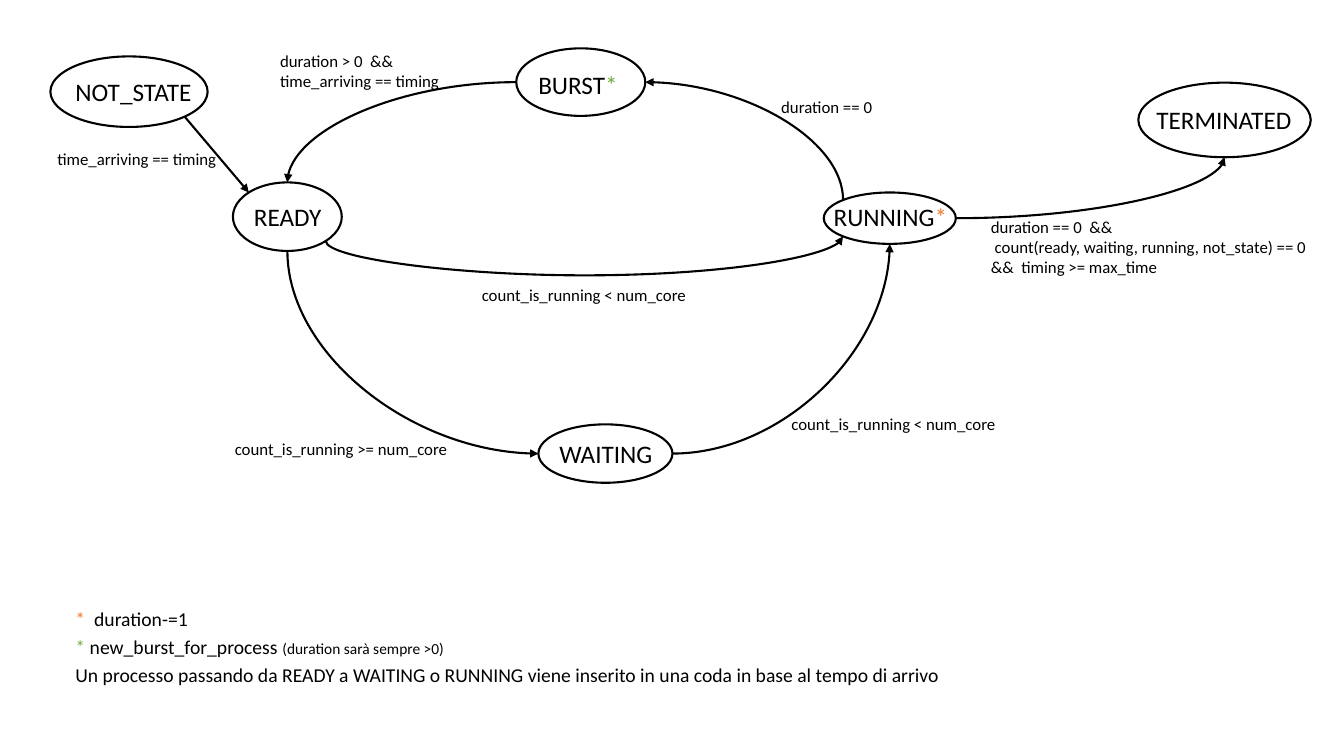
from dataclasses import dataclass
from math import cos, radians, sin

from lxml.etree import SubElement
from pptx import Presentation
from pptx.dml.color import RGBColor
from pptx.enum.shapes import MSO_CONNECTOR, MSO_SHAPE
from pptx.enum.text import MSO_AUTO_SIZE
from pptx.oxml.ns import qn
from pptx.util import Inches, Pt

OVAL = MSO_SHAPE.OVAL
STRAIGHT, CURVE = MSO_CONNECTOR.STRAIGHT, MSO_CONNECTOR.CURVE
GROW = MSO_AUTO_SIZE.SHAPE_TO_FIT_TEXT
TOP, TOP_LEFT, LEFT, LOW_LEFT, LOW, LOW_RIGHT, RIGHT = range(7)
COLS, ROWS = 133.3, 75


@dataclass(frozen=True)
class Theme:
    font: str = "Calibri"
    ink: str = "000000"
    paper: str = "FFFFFF"
    orange: str = "ED7D31"
    green: str = "70AD47"
    state: int = 18
    rule: int = 12
    note: int = 14
    small: int = 11
    line: float = 1.5


class Diagram:
    def __init__(self, deck, theme):
        self.theme = theme
        self.slide = deck.slides.add_slide(deck.slide_layouts[6])
        self.shapes = self.slide.shapes
        self.col = deck.slide_width / COLS
        self.row = deck.slide_height / ROWS

    def place(self, x, y):
        return round(x * self.col), round(y * self.row)

    def stroke(self, item):
        item.line.color.rgb = RGBColor.from_string(self.theme.ink)
        item.line.width = Pt(self.theme.line)

    def oval(self, x, y, w, h):
        item = self.shapes.add_shape(OVAL, *self.place(x, y), *self.place(w, h))
        item.shadow.inherit = False
        item.fill.solid()
        item.fill.fore_color.rgb = RGBColor.from_string(self.theme.paper)
        self.stroke(item)
        return item

    def text(self, x, y, w, size, *lines):
        high = Pt(len(lines) * size * 1.2) + Inches(0.1)
        wide = self.place(w, 0)[0]
        frame = self.shapes.add_textbox(*self.place(x, y), wide, high).text_frame
        frame.word_wrap = True
        frame.auto_size = GROW
        for i, runs in enumerate(lines):
            para = frame.add_paragraph() if i else frame.paragraphs[0]
            for words, color, scale in runs:
                run = para.add_run()
                run.text = words
                run.font.name = self.theme.font
                run.font.size = Pt(scale or size)
                run.font.color.rgb = RGBColor.from_string(color or self.theme.ink)

    def site(self, oval, spot):
        turn = radians(90 + 45 * spot)
        x = oval.left + oval.width / 2 * (1 + cos(turn))
        y = oval.top + oval.height / 2 * (1 - sin(turn))
        return x, y

    def arrow(self, start, spot, end, goal, kind=CURVE, upright=False, sag=0):
        (x1, y1), (x2, y2) = self.site(start, spot), self.site(end, goal)
        rise = abs(y2 - y1)
        if upright:
            mid_x, mid_y = (x1 + x2) / 2, (y1 + y2) / 2
            half_w, half_h = (y1 - y2) / 2, (x2 - x1) / 2
            x1, x2 = mid_x - half_w, mid_x + half_w
            y1, y2 = mid_y - half_h, mid_y + half_h
        ends = [round(v) for v in (x1, y1, x2, y2)]
        item = self.shapes.add_connector(kind, *ends)
        self.stroke(item)
        props = item._element.spPr
        form = props.find(qn("a:prstGeom"))
        if upright:
            props.find(qn("a:xfrm")).set("rot", "16200000")
        if sag:
            guides = form.find(qn("a:avLst"))
            bend = round(-100000 * sag * self.row / rise)
            SubElement(guides, qn("a:gd"), name="adj1", fmla=f"val {bend}")
        elif kind == CURVE:
            form.set("prst", "curvedConnector2")
        SubElement(props.find(qn("a:ln")), qn("a:tailEnd"), type="triangle")
        SubElement(props, qn("a:effectLst"))
        glue = item._element.find(".//" + qn("p:cNvCxnSpPr"))
        for tag, oval, idx in (("a:stCxn", start, spot), ("a:endCxn", end, goal)):
            SubElement(glue, qn(tag), id=str(oval.shape_id), idx=str(idx))


def run(words, color=None, size=None):
    return words, color, size


deck = Presentation()
deck.slide_width, deck.slide_height = Inches(13.33), Inches(7.5)
theme = Theme()
chart = Diagram(deck, theme)

states = {
    "NOT_STATE": ((5, 5.6, 15.6, 7), (6.5, 7.1, 14.1), None),
    "READY": ((23.1, 18.1, 10.8, 6.8), (24.2, 19.5, 9.7), None),
    "WAITING": ((53.4, 42.1, 13.3, 5.8), (54.5, 43, 12.2), None),
    "RUNNING": ((81.7, 19.1, 13.1, 5.1), (81.7, 19.5, 15.6), theme.orange),
    "BURST": ((51.2, 4.8, 12.8, 6.7), (52.4, 6.4, 11.5), theme.green),
    "TERMINATED": ((112.9, 8.2, 17.1, 7.4), (113.7, 9.9, 16.1), None),
}
ovals = {}
for name, (box, label, star) in states.items():
    ovals[name] = chart.oval(*box)
    runs = [run(name)] + ([run("*", star)] if star else [])
    chart.text(*label, theme.state, runs)
new, ready, wait, busy, burst, done = ovals.values()

chart.arrow(new, LOW_RIGHT, ready, TOP_LEFT, kind=STRAIGHT)
chart.arrow(ready, LOW, wait, LEFT, upright=True)
chart.arrow(wait, RIGHT, busy, LOW)
chart.arrow(ready, LOW_RIGHT, busy, LOW_LEFT, upright=True, sag=3.4)
chart.arrow(busy, TOP_LEFT, burst, RIGHT, upright=True)
chart.arrow(burst, LEFT, ready, TOP)
chart.arrow(busy, RIGHT, done, LOW)

rules = [
    (4.7, 14.3, 17.9, "time_arriving == timing"),
    (22.3, 43, 23.1, "count_is_running >= num_core"),
    (46.8, 27.8, 22.5, "count_is_running < num_core "),
    (77.5, 40.6, 23.1, "count_is_running < num_core"),
    (76.5, 9.1, 12.3, "duration == 0"),
    (26.8, 4.5, 18.3, "duration > 0  && time_arriving == timing"),
    (97.3, 21, 34.2, "duration == 0  && ",
     " count(ready, waiting, running, not_state) == 0",
     "&&  timing >= max_time"),
]
for x, y, w, *lines in rules:
    chart.text(x, y, w, theme.rule, *[[run(words)] for words in lines])

notes = [
    (14.1, [run("* ", theme.orange), run(" duration-=1")]),
    (40.8, [run("* ", theme.green), run("new_burst_for_process "),
            run("(duration sarà sempre >0)", size=theme.small)]),
    (88, [run("Un processo passando da READY a WAITING o RUNNING viene "
              "inserito in una coda in base al tempo di arrivo")]),
]
for i, (w, runs) in enumerate(notes):
    chart.text(6.5, 59.7 + 2.8 * i, w, theme.note, runs)

deck.save("out.pptx")
